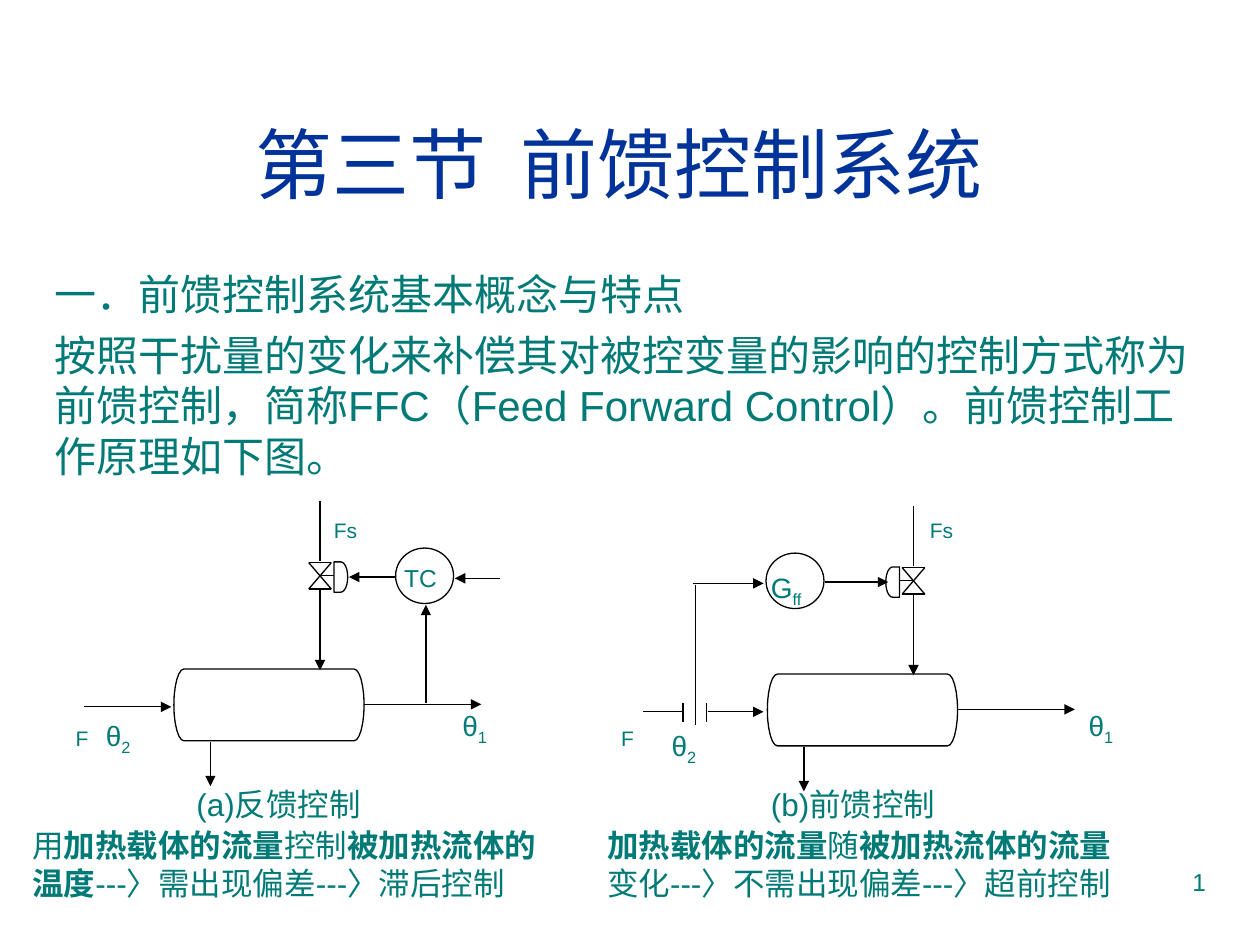
import math
from dataclasses import dataclass

from lxml import etree
from pptx import Presentation
from pptx.dml.color import RGBColor
from pptx.enum.shapes import MSO_CONNECTOR, MSO_SHAPE
from pptx.enum.text import MSO_ANCHOR, MSO_AUTO_SIZE, PP_ALIGN
from pptx.oxml.ns import qn
from pptx.util import Inches, Pt

STRAIGHT = MSO_CONNECTOR.STRAIGHT
OVAL, DELAY = MSO_SHAPE.OVAL, MSO_SHAPE.FLOWCHART_DELAY
LEFT, CENTER, RIGHT = PP_ALIGN.LEFT, PP_ALIGN.CENTER, PP_ALIGN.RIGHT
TOP, MIDDLE = MSO_ANCHOR.TOP, MSO_ANCHOR.MIDDLE
NO_AUTOFIT = MSO_AUTO_SIZE.NONE


@dataclass(frozen=True)
class Theme:
    font: str = "Arial"
    title: RGBColor = RGBColor(0x00, 0x33, 0x99)
    text: RGBColor = RGBColor(0x00, 0x7A, 0x77)
    ink: RGBColor = RGBColor(0x00, 0x00, 0x00)
    paper: RGBColor = RGBColor(0xFF, 0xFF, 0xFF)
    title_pt: int = 44
    body_pt: int = 24
    note_pt: int = 18
    symbol_pt: int = 16
    tag_pt: int = 14
    flow_pt: int = 12
    line_pt: float = 0.75


T = Theme()


# ---- shared helpers ----
def add_runs(p, runs, size, color=T.text):
    """Each run is (text, style); style is "", "bold" or "sub"."""
    for text, style in runs:
        r = p.add_run()
        r.text = text
        r.font.name, r.font.size = T.font, Pt(size)
        r.font.color.rgb = color
        r.font.bold = style == "bold"
        if style == "sub":
            r.font._element.set("baseline", "-25000")


def add_text(s, x, y, w, h, runs, size, align=LEFT, wrap=True):
    tf = s.shapes.add_textbox(Inches(x), Inches(y), Inches(w), Inches(h)).text_frame
    tf.word_wrap = wrap
    tf.paragraphs[0].alignment = align
    add_runs(tf.paragraphs[0], runs, size)
    return tf


def add_label(s, box, x, y, runs, size, indent=0.17):
    """Diagram label; every size sits on the baseline of the note size."""
    tf = add_text(s, box[0] + x, box[1] + y, 0.47, 0.4, runs, size, wrap=False)
    tf.margin_left = Inches(indent)
    tf.margin_top = Inches(0.05 + 0.905 * (T.note_pt - size) / 72)


def add_line(s, box, x1, y1, x2, y2, arrow=False):
    x, y = box
    c = s.shapes.add_connector(STRAIGHT, Inches(x + x1), Inches(y + y1),
                               Inches(x + x2), Inches(y + y2))
    c.line.color.rgb, c.line.width = T.ink, Pt(T.line_pt)
    if arrow:
        ln = c.line._get_or_add_ln()
        etree.SubElement(ln, qn("a:tailEnd"), type="triangle")
    etree.SubElement(c._element.spPr, qn("a:effectLst"))


def style_outline(sp):
    sp.shadow.inherit = False
    sp.fill.solid()
    sp.fill.fore_color.rgb = T.paper
    sp.line.color.rgb, sp.line.width = T.ink, Pt(T.line_pt)


def add_outline(s, box, kind, x, y, w, h):
    sp = s.shapes.add_shape(kind, Inches(box[0] + x), Inches(box[1] + y),
                            Inches(w), Inches(h))
    style_outline(sp)
    return sp


# ---- process equipment ----
def add_valve(s, box, cx, cy, side):
    """Control valve; side is 1 or -1 for an actuator to the right or left."""
    half, rise = 0.09, 0.105
    for dy1, dy2 in ((-rise, -rise), (rise, rise), (-rise, rise), (rise, -rise)):
        add_line(s, box, cx - half, cy + dy1, cx + half, cy + dy2)
    add_line(s, box, cx, cy, cx + side * 0.16, cy)
    left = cx + (0.11 if side > 0 else -0.22)
    sp = add_outline(s, box, DELAY, left, cy - 0.11, 0.11, 0.24)
    if side < 0:
        sp._element.spPr.xfrm.set("flipH", "1")


def add_vessel(s, box, x, y, w, h, bulge=0.08, steps=12):
    """Horizontal vessel with half-elliptic ends."""
    points = []
    for cx, start in ((x + w - bulge, -90), (x + bulge, 90)):
        for i in range(steps + 1):
            a = math.radians(start + 180 * i / steps)
            points.append((Inches(box[0] + cx + bulge * math.cos(a)),
                           Inches(box[1] + y + h / 2 * (1 + math.sin(a)))))
    fb = s.shapes.build_freeform(*points[0])
    fb.add_line_segments(points[1:], close=True)
    style_outline(fb.convert_to_shape())


def add_process(s, box, side, instrument_x):
    add_vessel(s, box, 0.71, 1.33, 1.51, 0.57)
    add_valve(s, box, 1.87, 0.59, side)
    add_line(s, box, 1.87, 0.47, 1.87, 0)
    add_line(s, box, 1.87, 0.7, 1.87, 1.34, True)
    add_line(s, box, 2.22, 1.61, 3.15, 1.61, True)
    add_line(s, box, 1, 1.91, 1, 2.26, True)
    add_outline(s, box, OVAL, instrument_x, 0.37, 0.46, 0.44)


def add_labels(s, box, flow, inlet, outlet, steam, caption, name):
    add_label(s, box, *steam, [("Fs", "")], T.flow_pt)
    add_label(s, box, *flow, [("F", "")], T.flow_pt)
    for place, index in ((inlet, "2"), (outlet, "1")):
        add_label(s, box, *place, [("θ", ""), (index, "sub")], T.symbol_pt)
    add_text(s, box[0] + caption[0], box[1] + caption[1], 1.73, 0.4,
             [(name, "")], T.note_pt, wrap=False)


# ---- the two diagrams ----
def add_feedback(s, box):
    add_process(s, box, 1, 2.47)
    for ends in ((3.3, 0.61, 2.94, 0.61), (2.47, 0.6, 2.1, 0.6),
                 (0, 1.63, 0.69, 1.63), (2.71, 1.6, 2.71, 0.82)):
        add_line(s, box, *ends, arrow=True)
    add_label(s, box, 2.44, 0.39, [("TC", "")], T.tag_pt, indent=0.1)
    add_labels(s, box, flow=(-0.24, 1.65), inlet=(0, 1.65), outlet=(2.83, 1.57),
               steam=(1.81, 0), caption=(0.79, 2.2), name="(a)反馈控制")


def add_feedforward(s, box):
    add_process(s, box, -1, 0.7)
    for ends in ((0.12, 0.61, 0.68, 0.61), (1.17, 0.6, 1.67, 0.6),
                 (0.24, 1.63, 0.68, 1.63)):
        add_line(s, box, *ends, arrow=True)
    # Measuring point in the inlet pipe
    for ends in ((0.14, 1.73, 0.14, 0.62), (0.04, 1.63, -0.28, 1.63),
                 (0.04, 1.56, 0.04, 1.71), (0.23, 1.56, 0.23, 1.71)):
        add_line(s, box, *ends)
    add_label(s, box, 0.64, 0.43, [("G", ""), ("ff", "sub")], T.symbol_pt, indent=0.1)
    add_labels(s, box, flow=(-0.62, 1.61), inlet=(-0.22, 1.69), outlet=(3.09, 1.53),
               steam=(1.83, -0.04), caption=(0.64, 2.16), name="(b)前馈控制")


# ---- title and body ----
def fill_placeholder(sp, x, y, w, h, paragraphs, size, color, align, anchor):
    sp.left, sp.top, sp.width, sp.height = (Inches(v) for v in (x, y, w, h))
    tf = sp.text_frame
    tf.word_wrap, tf.auto_size, tf.vertical_anchor = True, NO_AUTOFIT, anchor
    for i, text in enumerate(paragraphs):
        p = tf.add_paragraph() if i else tf.paragraphs[0]
        pPr = p._p.get_or_add_pPr()
        pPr.set("marL", "0")
        pPr.set("indent", "0")
        etree.SubElement(pPr, qn("a:buNone"))
        p.alignment, p.space_before = align, Pt(6 if i else 0)
        add_runs(p, [(text, "")], size, color)
    return tf


def main():
    prs = Presentation()
    prs.slide_width, prs.slide_height = Inches(10), Inches(7.5)
    s = prs.slides.add_slide(prs.slide_layouts[1])

    tf = fill_placeholder(s.shapes.title, 0.33, 0.67, 9.34, 1.25,
                          ["第三节  前馈控制系统"], T.title_pt, T.title, CENTER, MIDDLE)
    tf.margin_right = Inches(0.27)
    fill_placeholder(s.placeholders[1], 0.33, 2.08, 9.34, 4.59, [
        "一．前馈控制系统基本概念与特点",
        "按照干扰量的变化来补偿其对被控变量的影响的控制方式称为前馈控制，"
        "简称FFC（Feed Forward Control）。前馈控制工作原理如下图。",
    ], T.body_pt, T.text, LEFT, TOP)

    add_feedback(s, (0.67, 3.98))
    add_feedforward(s, (5.38, 4.02))

    # Conclusions under the diagrams, and page number
    add_text(s, 0.16, 6.51, 4.37, 0.7, [
        ("用", ""), ("加热载体的流量", "bold"), ("控制", ""),
        ("被加热流体的温度", "bold"), ("---〉需出现偏差---〉滞后控制", "")], T.note_pt)
    add_text(s, 4.72, 6.51, 4.37, 1, [
        ("加热载体的流量", "bold"), ("随", ""), ("被加热流体的流量", "bold"),
        ("变化---〉不需出现偏差---〉超前控制", "")], T.note_pt)
    add_text(s, 7.17, 6.83, 2.5, 0.52, [("1", "")], T.tag_pt, RIGHT)
    prs.save("out.pptx")


if __name__ == "__main__":
    main()
